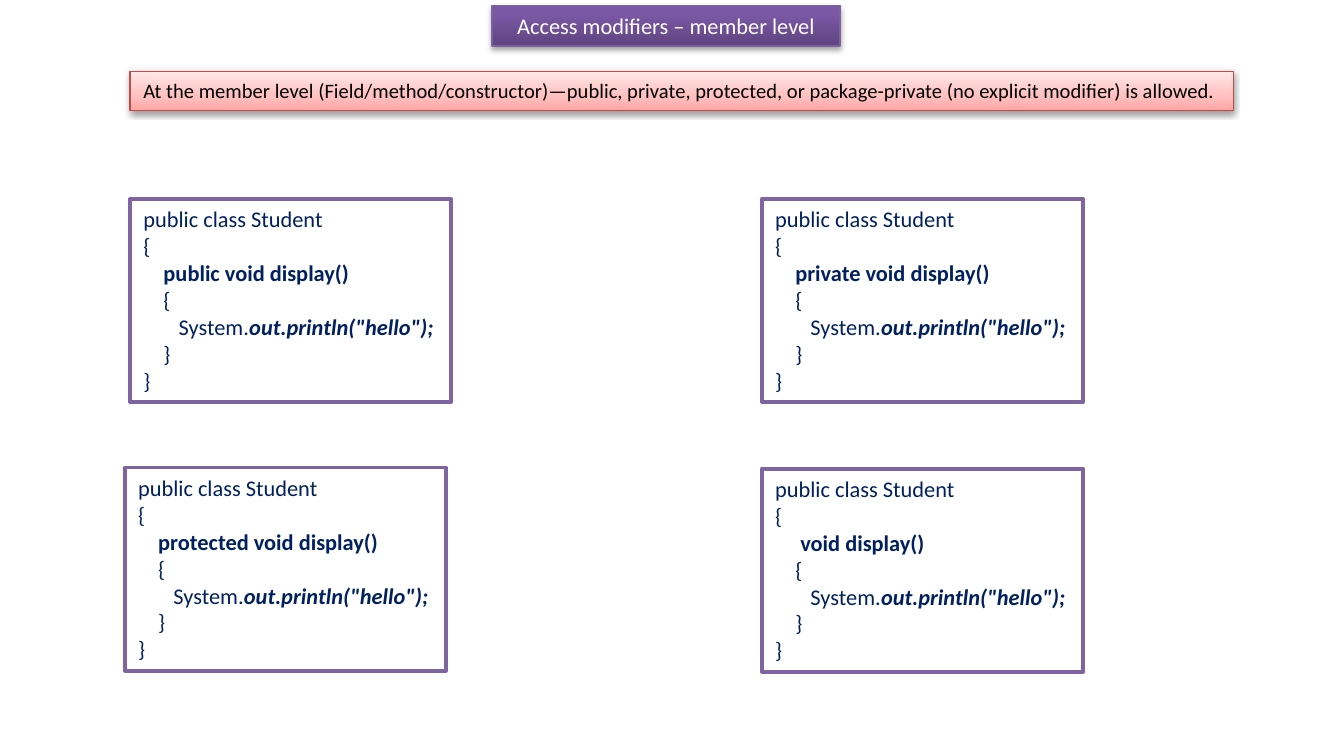
from lxml.etree import SubElement
from pptx import Presentation
from pptx.dml.color import RGBColor
from pptx.enum.shapes import MSO_SHAPE
from pptx.enum.text import MSO_ANCHOR, MSO_AUTO_SIZE, PP_ALIGN
from pptx.oxml.ns import qn
from pptx.util import Cm, Pt

FONT = "Calibri"
NAVY = "002060"


def color(code):
    return RGBColor.from_string(code)


def add_box(slide, box, edge, width):
    """Add a plain rectangle with an outline; box is left, top, width, height in cm."""
    shape = slide.shapes.add_shape(MSO_SHAPE.RECTANGLE, *[Cm(n) for n in box])
    shape.shadow.inherit = False
    shape.line.color.rgb = color(edge)
    shape.line.width = Pt(width)
    frame = shape.text_frame
    frame.vertical_anchor = MSO_ANCHOR.TOP
    frame.auto_size = MSO_AUTO_SIZE.SHAPE_TO_FIT_TEXT
    return shape


def add_text(para, text, size=12, ink=NAVY, bold=False, italic=False, align=PP_ALIGN.LEFT):
    para.alignment = align
    run = para.add_run()
    run.text = text
    font = run.font
    font.name, font.size = FONT, Pt(size)
    font.bold, font.italic = bold, italic
    font.color.rgb = color(ink)


def add_color(parent, code):
    return SubElement(parent, qn("a:srgbClr"), val=code)


def shade(shape, stops):
    """Fill with a gradient that runs from bottom to top."""
    shape.fill.gradient()
    shape.fill.gradient_angle = 90
    group = next(shape.element.spPr.iter(qn("a:gsLst")))
    for stop in list(group):
        group.remove(stop)
    for place, code in stops:
        add_color(SubElement(group, qn("a:gs"), pos=str(place * 1000)), code)


def drop_shadow(shape, alpha, dist):
    effects = shape.element.spPr.find(qn("a:effectLst"))
    shadow = SubElement(effects, qn("a:outerShdw"), blurRad=str(Pt(3.1)),
                        dist=str(Pt(dist)), dir="5400000", rotWithShape="0")
    SubElement(add_color(shadow, "000000"), qn("a:alpha"), val=str(alpha * 1000))


def banner(slide, box, text, stops, edge, alpha, dist, wrap=False, **style):
    """One shaded strip with a single line of text."""
    shape = add_box(slide, box, edge, 0.75)
    shade(shape, stops)
    drop_shadow(shape, alpha, dist)
    shape.text_frame.word_wrap = wrap
    add_text(shape.text_frame.paragraphs[0], text, **style)


def code_box(slide, box, method):
    """One framed class listing, with its method signature in bold."""
    shape = add_box(slide, box, "8064A2", 2)
    shape.fill.solid()
    shape.fill.fore_color.rgb = color("FFFFFF")
    frame = shape.text_frame
    frame.word_wrap = False
    strong = {"bold": True}
    lines = [
        [("public class Student", {})],
        [("{", {})],
        [("    " + method, strong)],
        [("    {", {})],
        [("       System.", {}), ('out.println("hello");', {"bold": True, "italic": True})],
        [("    }", {})],
        [("}", {})],
    ]
    for i, line in enumerate(lines):
        para = frame.add_paragraph() if i else frame.paragraphs[0]
        for text, style in line:
            add_text(para, text, **style)


def main():
    deck = Presentation()
    deck.slide_width, deck.slide_height = Cm(25.4), Cm(13.97)
    slide = deck.slides.add_slide(deck.slide_layouts[6])

    # Title and rule
    banner(slide, (9.3, 0.1, 6.58, 0.77), "Access modifiers – member level",
           [(0, "5F4480"), (80, "7B58A6"), (100, "7C57A8")], "7D60A0", 35, 1.8,
           wrap=True, ink="FFFFFF", align=PP_ALIGN.CENTER)
    banner(slide, (2.46, 1.35, 20.85, 0.74),
           "At the member level (Field/method/constructor)—public, private, protected, "
           "or package-private (no explicit modifier) is allowed.",
           [(0, "FFA6A5"), (35, "FFC0BF"), (100, "FFE7E7")], "BF4C48", 38, 1.6,
           size=11, ink="000000")

    # One listing for each modifier
    for left, top, method in [
        (2.46, 3.76, "public void display()"),
        (14.4, 3.76, "private void display()"),
        (2.36, 8.84, "protected void display()"),
        (14.4, 8.86, " void display()"),
    ]:
        code_box(slide, (left, top, 6.07, 3.84), method)

    deck.save("out.pptx")


if __name__ == "__main__":
    main()
